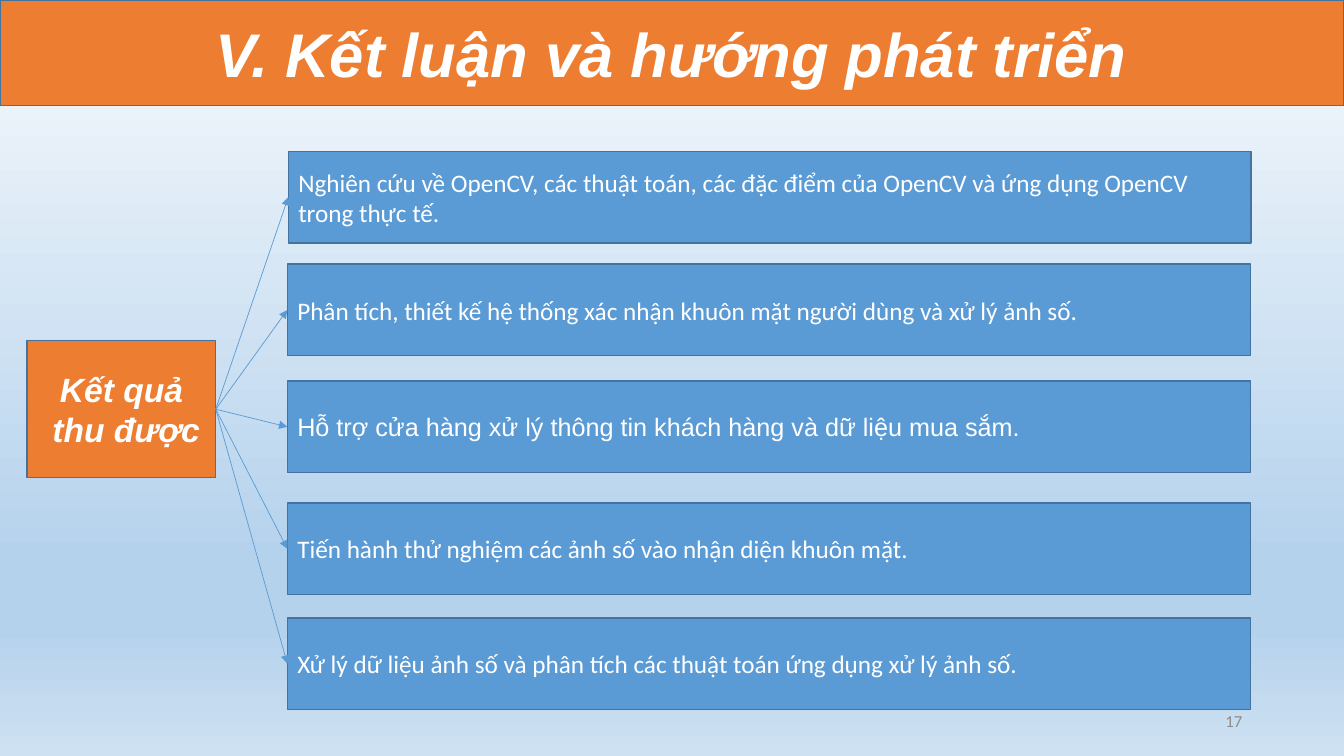
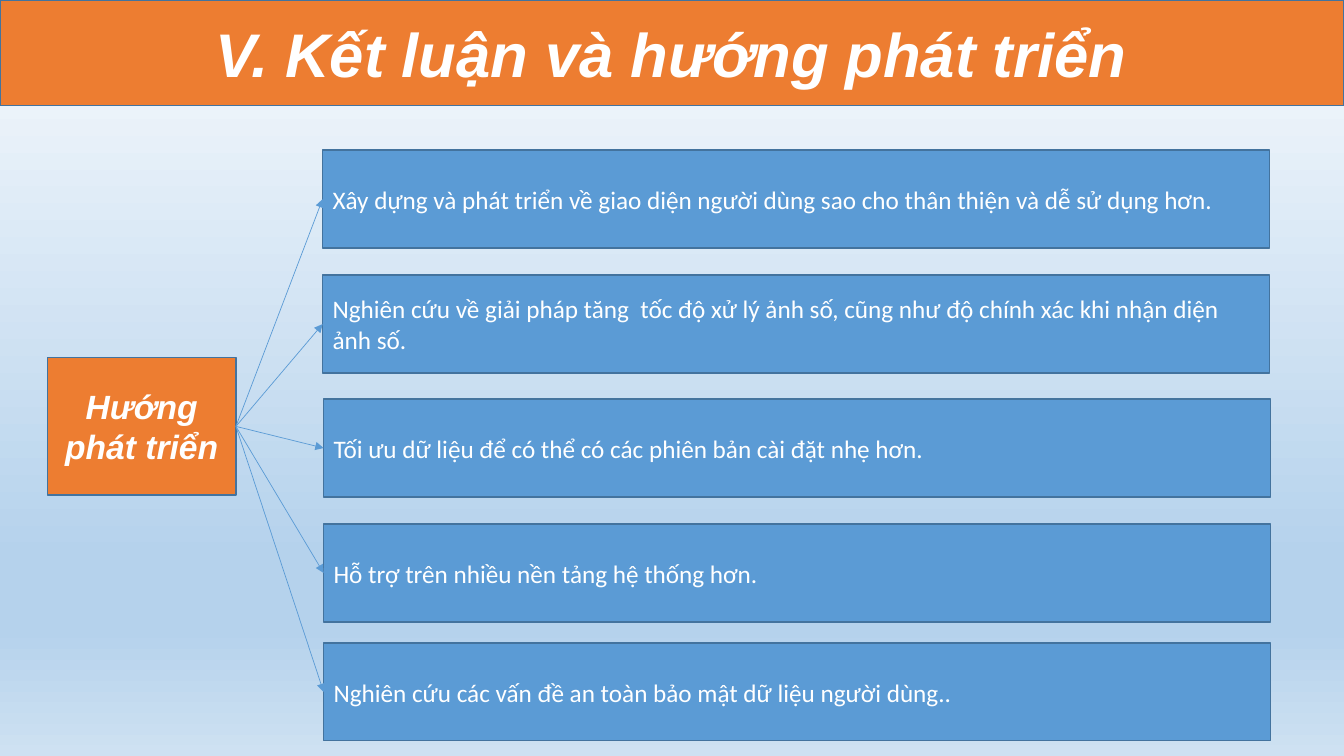
"""Build two slides on the conclusions and future directions of a project."""
from dataclasses import dataclass

from lxml import etree
from pptx import Presentation
from pptx.dml.color import RGBColor
from pptx.enum.shapes import MSO_CONNECTOR, MSO_SHAPE
from pptx.enum.text import MSO_ANCHOR, PP_ALIGN
from pptx.oxml.ns import qn
from pptx.util import Inches, Pt

RECT = MSO_SHAPE.RECTANGLE
STRAIGHT = MSO_CONNECTOR.STRAIGHT
MIDDLE = MSO_ANCHOR.MIDDLE
LEFT, CENTER, RIGHT = PP_ALIGN.LEFT, PP_ALIGN.CENTER, PP_ALIGN.RIGHT
LEFT_SITE, RIGHT_SITE = 1, 3

COLORS = {
    "orange": "ED7D31",
    "blue": "5B9BD5",
    "outline": "43739E",
    "white": "FFFFFF",
    "gray": "8C8C8C",
}
BACKGROUND = {0: "F7FAFD", 74: "B5D2EC", 83: "B5D2EC", 100: "CEE1F2"}
HEADING_FONT, BODY_FONT = "Arial", "Calibri"
SLIDE_W, SLIDE_H = 13.33, 7.5
HUB_W, HUB_H = 1.87, 1.36
TITLE = "V. Kết luận và hướng phát triển"


@dataclass
class Item:
    """A statement box placed by its left and top edges."""
    left: float
    top: float
    text: str
    font: str = BODY_FONT


@dataclass
class Diagram:
    """A hub box with arrows to a column of statements."""
    hub: str
    hub_left: float
    hub_top: float
    item_w: float
    item_h: float
    items: list[Item]
    number: str = ""


DIAGRAMS = [
    Diagram("Kết quả\n thu được", 0.27, 3.38, 9.55, 0.91, [
        Item(2.86, 1.5, "Nghiên cứu về OpenCV, các thuật toán, các đặc điểm của "
                        "OpenCV và ứng dụng OpenCV trong thực tế."),
        Item(2.85, 2.62, "Phân tích, thiết kế hệ thống xác nhận khuôn mặt người "
                         "dùng và xử lý ảnh số."),
        Item(2.85, 3.78, "Hỗ trợ cửa hàng xử lý thông tin khách hàng và dữ liệu "
                         "mua sắm.", HEADING_FONT),
        Item(2.85, 4.99, "Tiến hành thử nghiệm các ảnh số vào nhận diện khuôn mặt."),
        Item(2.85, 6.13, "Xử lý dữ liệu ảnh số và phân tích các thuật toán ứng "
                         "dụng xử lý ảnh số."),
    ], "17"),
    Diagram("Hướng phát triển", 0.47, 3.55, 9.39, 0.97, [
        Item(3.2, 1.49, "Xây dựng và phát triển về giao diện người dùng sao cho "
                        "thân thiện và dễ sử dụng hơn."),
        Item(3.2, 2.73, "Nghiên cứu về giải pháp tăng  tốc độ xử lý ảnh số, cũng "
                        "như độ chính xác khi nhận diện ảnh số."),
        Item(3.21, 3.96, "Tối ưu dữ liệu để có thể có các phiên bản cài đặt nhẹ hơn."),
        Item(3.21, 5.2, "Hỗ trợ trên nhiều nền tảng hệ thống hơn."),
        Item(3.21, 6.38, "Nghiên cứu các vấn đề an toàn bảo mật dữ liệu người dùng.."),
    ]),
]


def rgb(name: str) -> RGBColor:
    """Return a named colour."""
    return RGBColor.from_string(COLORS[name])


def write(sp, text: str, *, size: float = 18, font: str = BODY_FONT,
          color: str = "white", bold: bool = False, italic: bool = False,
          align=LEFT) -> None:
    """Fill a shape with formatted text, one paragraph a line."""
    tf = sp.text_frame
    tf.word_wrap = True
    tf.vertical_anchor = MIDDLE
    for i, line in enumerate(text.split("\n")):
        p = tf.add_paragraph() if i else tf.paragraphs[0]
        p.alignment = align
        r = p.add_run()
        r.text = line
        r.font.size = Pt(size)
        r.font.name = font
        r.font.bold = bold
        r.font.italic = italic
        r.font.color.rgb = rgb(color)


def add_box(s, left: float, top: float, width: float, height: float,
            fill: str, text: str, **fmt):
    """Add an outlined rectangle with text."""
    sp = s.shapes.add_shape(RECT, Inches(left), Inches(top),
                            Inches(width), Inches(height))
    sp.shadow.inherit = False
    sp.fill.solid()
    sp.fill.fore_color.rgb = rgb(fill)
    sp.line.color.rgb = rgb("outline")
    sp.line.width = Pt(1)
    write(sp, text, **fmt)
    return sp


def add_heading_box(s, left: float, top: float, width: float, height: float,
                    text: str, size: float):
    """Add an orange box with bold italic centred text."""
    return add_box(s, left, top, width, height, "orange", text, size=size,
                   font=HEADING_FONT, bold=True, italic=True, align=CENTER)


def add_arrow(s, hub, box) -> None:
    """Connect the right side of the hub to the left side of a box."""
    cx = s.shapes.add_connector(STRAIGHT, 0, 0, 0, 0)
    cx.begin_connect(hub, RIGHT_SITE)
    cx.end_connect(box, LEFT_SITE)
    cx.line.color.rgb = rgb("blue")
    cx.line.width = Pt(0.5)
    etree.SubElement(cx.line._get_or_add_ln(), qn("a:tailEnd"), type="triangle")
    etree.SubElement(cx._element.spPr, qn("a:effectLst"))


def set_background(master) -> None:
    """Give the slide master a vertical gradient."""
    fill = master.background.fill
    fill.gradient()
    fill.gradient_angle = 270
    stops = master.element.find(".//" + qn("a:gsLst"))
    for stop in list(stops):
        stops.remove(stop)
    for percent, color in BACKGROUND.items():
        stop = etree.SubElement(stops, qn("a:gs"), pos=str(percent * 1000))
        etree.SubElement(stop, qn("a:srgbClr"), val=color)


def add_diagram_slide(prs, d: Diagram) -> None:
    """Add a slide with the title band and one diagram."""
    s = prs.slides.add_slide(prs.slide_layouts[6])
    add_heading_box(s, 0, 0, SLIDE_W, 1.05, TITLE, 44)
    hub = add_heading_box(s, d.hub_left, d.hub_top, HUB_W, HUB_H, d.hub, 24)
    for item in d.items:
        box = add_box(s, item.left, item.top, d.item_w, d.item_h, "blue",
                      item.text, font=item.font)
        add_arrow(s, hub, box)
    if d.number:
        tb = s.shapes.add_textbox(Inches(9.42), Inches(6.95), Inches(3), Inches(0.4))
        write(tb, d.number, size=12, color="gray", align=RIGHT)


def main() -> None:
    """Build and save the presentation."""
    prs = Presentation()
    prs.slide_width, prs.slide_height = Inches(SLIDE_W), Inches(SLIDE_H)
    set_background(prs.slide_master)
    for diagram in DIAGRAMS:
        add_diagram_slide(prs, diagram)
    prs.save("out.pptx")


if __name__ == "__main__":
    main()
